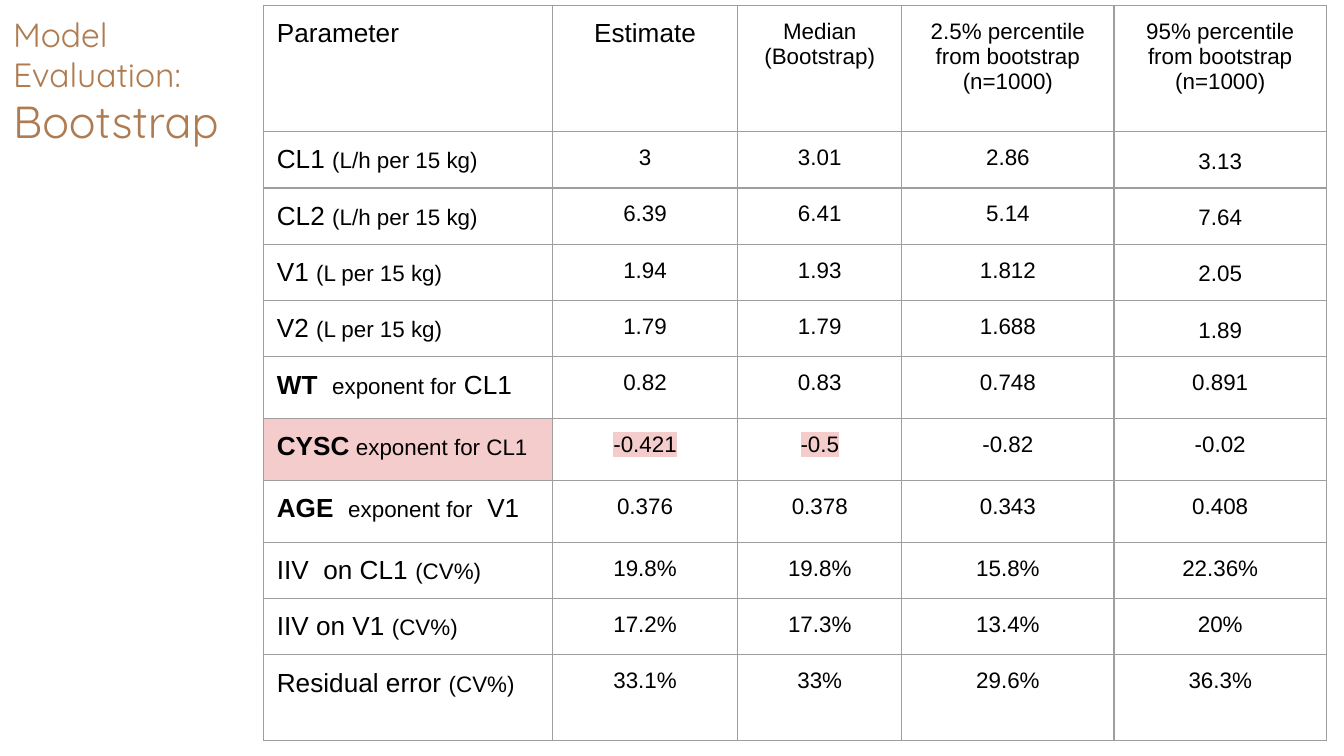
import pptx
import pptx.dml.color
import pptx.enum.text
import pptx.oxml.ns
import pptx.util
from lxml import etree

Inches = pptx.util.Inches
Pt = pptx.util.Pt
CENTER = pptx.enum.text.PP_ALIGN.CENTER
COLORS = {"text": "000000", "title": "AF7B51", "border": "9E9E9E", "accent": "F4CCCC"}


def rgb(name):
    return pptx.dml.color.RGBColor.from_string(COLORS[name])


def add_run(paragraph, text, size=12, bold=False, font="Arial", color="text", highlight=None):
    run = paragraph.add_run()
    run.text = text
    run.font.size = Pt(size)
    run.font.bold = bold
    run.font.name = font
    run.font.color.rgb = rgb(color)
    if highlight:
        mark = etree.Element(pptx.oxml.ns.qn("a:highlight"))
        etree.SubElement(mark, pptx.oxml.ns.qn("a:srgbClr"), val=COLORS[highlight])
        run.font._element.find(pptx.oxml.ns.qn("a:solidFill")).addnext(mark)


deck = pptx.Presentation()
deck.slide_width = Inches(10)
deck.slide_height = Inches(10 * 9 / 16)
slide = deck.slides.add_slide(deck.slide_layouts[6])

# Each row: label runs as (text, size, bold), then the four values
rows = [
    ([("Parameter", 14, False)], "Estimate", "Median (Bootstrap)",
     "2.5% percentile from bootstrap (n=1000)", "95% percentile from bootstrap (n=1000)"),
    ([("CL1 ", 14, False), ("(L/h per 15 kg)", 12, False), (" ", 14, False)],
     "3", "3.01", "2.86", "3.13"),
    ([("CL2 ", 14, False), ("(L/h per 15 kg)", 12, False)], "6.39", "6.41", "5.14", "7.64"),
    ([("V1 ", 14, False), ("(L per 15 kg)", 12, False)], "1.94", "1.93", "1.812", "2.05"),
    ([("V2 ", 14, False), ("(L per 15 kg)", 12, False)], "1.79", "1.79", "1.688", "1.89"),
    ([("WT  ", 14, True), ("exponent for", 12, False), (" CL1", 14, False)],
     "0.82", "0.83", "0.748", "0.891"),
    ([("CYSC", 14, True), (" ", 12, True), ("exponent for CL1", 12, False)],
     "-0.421", "-0.5", "-0.82", "-0.02"),
    ([("AGE  ", 14, True), ("exponent for", 12, False), ("  V1", 14, False)],
     "0.376", "0.378", "0.343", "0.408"),
    ([("IIV  on CL1 ", 14, False), ("(CV%)", 12, False)], "19.8%", "19.8%", "15.8%", "22.36%"),
    ([("IIV on V1 ", 14, False), ("(CV%)", 12, False)], "17.2%", "17.3%", "13.4%", "20%"),
    ([("Residual error ", 14, False), ("(CV%)", 12, False)], "33.1%", "33%", "29.6%", "36.3%"),
]
column_widths = [2.15, 1.38, 1.22, 1.58, 1.58]
row_heights = [0.94] + [0.4] * 4 + [0.46] * 3 + [0.4] * 2 + [0.64]
CYSC_ROW = 6

estimates = slide.shapes.add_table(
    len(rows), len(column_widths), Inches(1.96), Inches(0.04),
    Inches(sum(column_widths)), Inches(sum(row_heights))).table
estimates.first_row = False
estimates.horz_banding = False
for column, width in zip(estimates.columns, column_widths):
    column.width = Inches(width)

for r, (label, *values) in enumerate(rows):
    estimates.rows[r].height = Inches(row_heights[r])
    for c in range(len(column_widths)):
        cell = estimates.cell(r, c)
        cell.margin_left = cell.margin_right = Inches(0.1)
        cell.margin_top = cell.margin_bottom = Inches(0.1)

        properties = cell._tc.get_or_add_tcPr()
        for side in ("lnL", "lnR", "lnT", "lnB"):
            border = etree.SubElement(properties, pptx.oxml.ns.qn("a:" + side), w=str(Pt(0.75)))
            fill = etree.SubElement(border, pptx.oxml.ns.qn("a:solidFill"))
            etree.SubElement(fill, pptx.oxml.ns.qn("a:srgbClr"), val=COLORS["border"])
        if (r, c) == (CYSC_ROW, 0):
            cell.fill.solid()
            cell.fill.fore_color.rgb = rgb("accent")
        else:
            cell.fill.background()

        paragraph = cell.text_frame.paragraphs[0]
        if c == 0:
            for text, size, bold in label:
                add_run(paragraph, text, size=size, bold=bold)
            continue
        paragraph.alignment = CENTER
        if c == 4 and 1 <= r <= 4:
            paragraph.line_spacing = 1.15
        add_run(paragraph, values[c - 1], size=14 if (r, c) == (0, 1) else 12,
                highlight="accent" if r == CYSC_ROW and c <= 2 else None)

title = slide.shapes.add_textbox(0, 0, Inches(1.8), Inches(1.32)).text_frame
title.word_wrap = True
title.margin_left = title.margin_right = Inches(0.1)
title.margin_top = title.margin_bottom = Inches(0.1)
add_run(title.paragraphs[0], "Model Evaluation:", size=18, font="Quicksand", color="title")
add_run(title.add_paragraph(), "Bootstrap", size=24, font="Quicksand", color="title")

deck.save("out.pptx")
